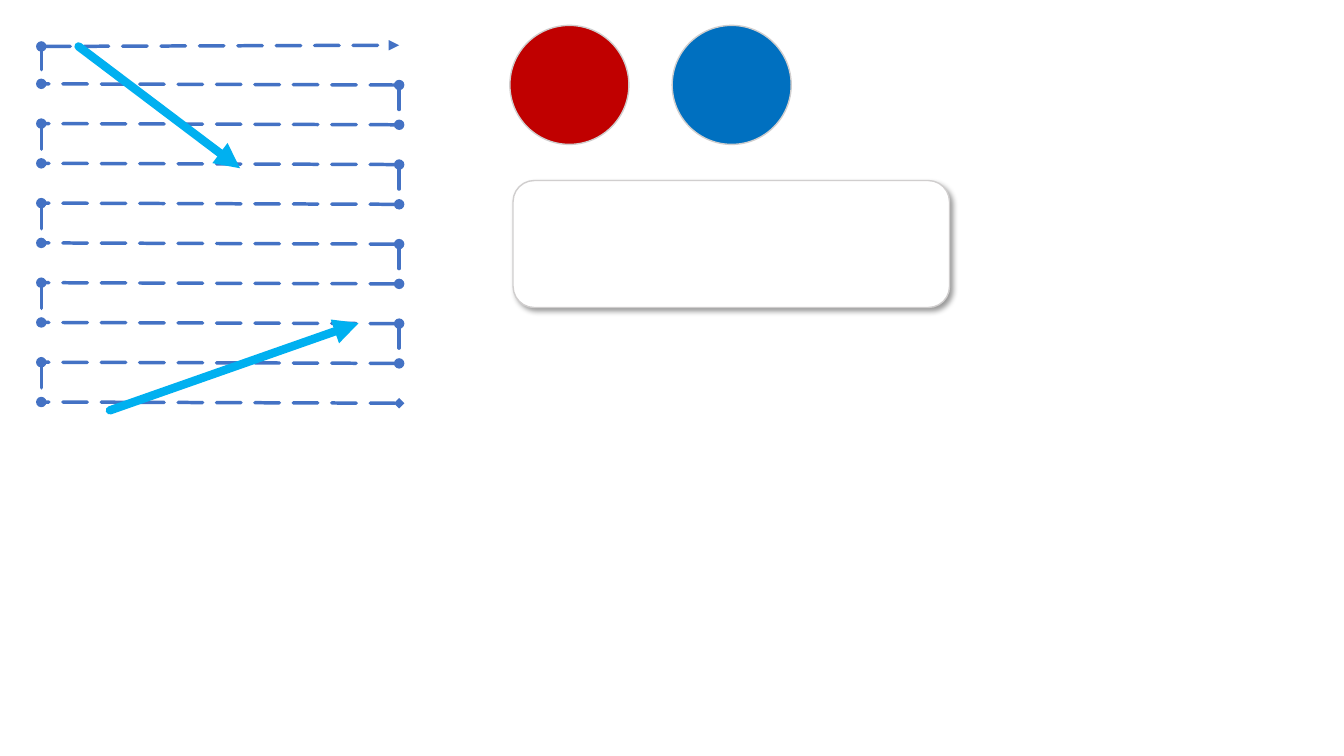
from dataclasses import dataclass

from lxml import etree
from pptx import Presentation
from pptx.dml.color import RGBColor
from pptx.enum.dml import MSO_LINE
from pptx.enum.shapes import MSO_CONNECTOR, MSO_SHAPE
from pptx.oxml.ns import qn
from pptx.util import Cm, Pt

STRAIGHT = MSO_CONNECTOR.STRAIGHT
DASH = MSO_LINE.LONG_DASH
OVAL = MSO_SHAPE.OVAL
ROUND = MSO_SHAPE.ROUNDED_RECTANGLE


@dataclass(frozen=True)
class Theme:
    """Colours and line widths of the slide."""
    trail: str = "4472C4"
    arrow: str = "00B0F0"
    red: str = "C00000"
    blue: str = "0070C0"
    white: str = "FFFFFF"
    edge: str = "D0CECE"
    shade: str = "000000"
    thin: float = 1
    mid: float = 2.5
    thick: float = 6


THEME = Theme()


def add_line(group, start, end, color, width, dash=None, head=None, tail=None):
    """Add a straight line with optional dashes and end marks."""
    line = group.shapes.add_connector(STRAIGHT, *map(Cm, (*start, *end)))
    line.line.color.rgb = RGBColor.from_string(color)
    line.line.width = Pt(width)
    if dash:
        line.line.dash_style = dash
    props = line.element.spPr
    stroke = props.find(qn("a:ln"))
    stroke.set("cap", "rnd")
    for tag, mark in (("a:headEnd", head), ("a:tailEnd", tail)):
        if mark:
            etree.SubElement(stroke, qn(tag), type=mark)
    etree.SubElement(props, qn("a:effectLst"))


def add_form(slide, kind, box, fill):
    """Add a filled shape with a thin grey edge."""
    form = slide.shapes.add_shape(kind, *map(Cm, box))
    form.shadow.inherit = False
    form.fill.solid()
    form.fill.fore_color.rgb = RGBColor.from_string(fill)
    form.line.color.rgb = RGBColor.from_string(THEME.edge)
    form.line.width = Pt(THEME.thin)
    return form


def add_card(slide, box):
    """Add the rounded card with its soft shadow."""
    card = add_form(slide, ROUND, box, THEME.white)
    effects = card.element.spPr.find(qn("a:effectLst"))
    shadow = etree.SubElement(
        effects, qn("a:outerShdw"), blurRad=str(Pt(4)), dist=str(Pt(3)),
        dir="2700000", algn="tl", rotWithShape="0")
    color = etree.SubElement(shadow, qn("a:srgbClr"), val=THEME.shade)
    etree.SubElement(color, qn("a:alpha"), val="40000")


def add_trail(slide, box, rows=10, tilt=0.03):
    """Add the winding dashed trail and its two arrows."""
    left, top, width, height = box
    right, step = left + width, height / (rows - 1)
    group = slide.shapes.add_group_shape()
    dashed = {"color": THEME.trail, "width": THEME.mid, "dash": DASH}
    for row in reversed(range(1, rows)):
        y = top + row * step
        head = "diamond" if row == rows - 1 else "oval"
        add_line(group, (right, y), (left, y - tilt),
                 head=head, tail="oval", **dashed)
    add_line(group, (left, top + tilt), (right, top),
             head="oval", tail="triangle", **dashed)
    for row in range(rows - 1):
        x = right if row % 2 else left
        y = top + row * step
        add_line(group, (x, y), (x, y + step - tilt), **dashed)
    for tip, end in (((8, 7), (1.73, 9.2)), ((5.01, 3.1), (0.94, 0.03))):
        add_line(group, (left + tip[0], top + tip[1]),
                 (left + end[0], top + end[1]),
                 THEME.arrow, THEME.thick, head="triangle")


def build():
    """Build the slide and save it."""
    deck = Presentation()
    deck.slide_width, deck.slide_height = Cm(33.87), Cm(19.05)
    slide = deck.slides.add_slide(deck.slide_layouts[6])
    add_card(slide, (12.93, 4.55, 11, 3.2))
    add_form(slide, OVAL, (16.94, 0.64, 3, 3), THEME.blue)
    add_trail(slide, (1.04, 1.14, 9.02, 9.02))
    add_form(slide, OVAL, (12.85, 0.64, 3, 3), THEME.red)
    deck.save("out.pptx")


build()
